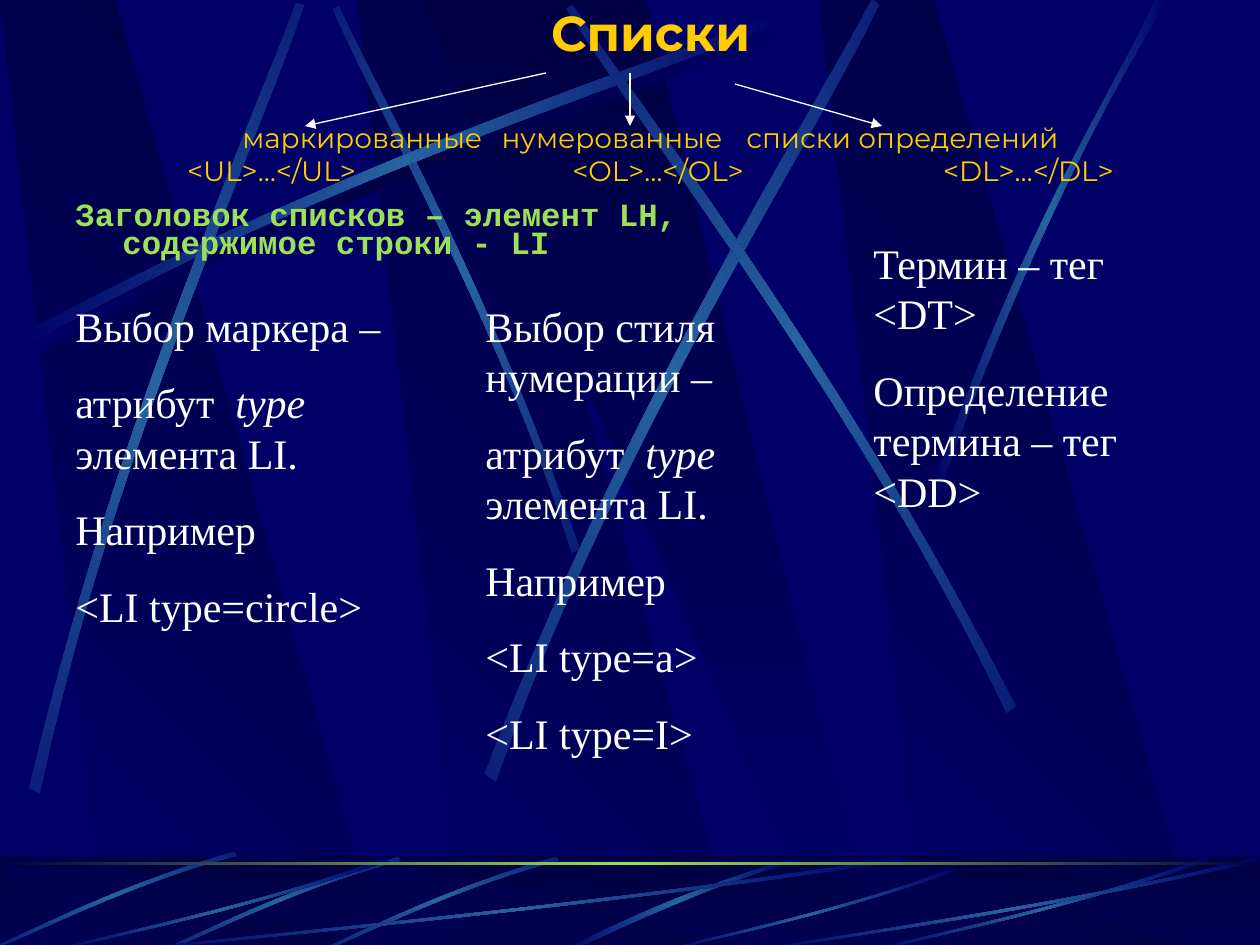
import dataclasses
import math
import typing

import lxml.etree
import pptx
import pptx.dml.color
import pptx.enum.shapes
import pptx.enum.text
import pptx.oxml.ns
import pptx.util

Point = tuple[float, float]
Box = tuple[int, int, int, int]
EMU_PER_PIXEL = 914400 / 126
qn = pptx.oxml.ns.qn


@dataclasses.dataclass(frozen=True)
class Theme:
    ground: str = "000066"
    deep: str = "000044"
    beam: str = "2663A0"
    green: str = "9CE157"
    gold: str = "FFCC00"
    white: str = "FFFFFF"
    title_font: str = "Montserrat"
    code_font: str = "Courier New"
    body_font: str = "Times New Roman"
    title_size: float = 28
    kinds_size: float = 16
    heading_size: float = 18.5
    body_size: float = 24
    arrow_width: float = 0.75


THEME = Theme()


@dataclasses.dataclass(frozen=True)
class Streak:
    points: list[Point]
    rotation: float = 0
    center: Point = (0, 0)
    glow: str = THEME.beam

    def moved(self, dx: int, dy: int, glow: str = THEME.beam) -> "Streak":
        points = [(x + dx, y + dy) for x, y in self.points]
        return Streak(points, self.rotation, (self.center[0] + dx, self.center[1] + dy), glow)


@dataclasses.dataclass(frozen=True)
class Column:
    box: Box
    lines: list[str]


@dataclasses.dataclass(frozen=True)
class Arrow:
    start: Point
    end: Point


deck = pptx.Presentation()


def px(length: float) -> pptx.util.Emu:
    return pptx.util.Emu(round(length * EMU_PER_PIXEL))


deck.slide_width, deck.slide_height = px(1260), px(945)
slide = deck.slides.add_slide(deck.slide_layouts[6])


def rgb(color: str) -> pptx.dml.color.RGBColor:
    return pptx.dml.color.RGBColor.from_string(color)


def paint(shape: typing.Any, colors: list[str], angle: int) -> None:
    shape.shadow.inherit = False
    shape.line.fill.background()
    shape.fill.gradient()
    shape.fill.gradient_angle = (360 - angle) % 360
    stops = shape._element.spPr.find(qn("a:gradFill")).find(qn("a:gsLst"))
    for stop in list(stops):
        stops.remove(stop)
    for index, color in enumerate(colors):
        position = round(100000 * index / (len(colors) - 1))
        stop = lxml.etree.SubElement(stops, qn("a:gs"), pos=str(position))
        lxml.etree.SubElement(stop, qn("a:srgbClr"), val=color)


def draw_outline(points: list[Point]) -> typing.Any:
    corners = [(px(x), px(y)) for x, y in points]
    builder = slide.shapes.build_freeform(*corners[0], scale=1.0)
    builder.add_line_segments(corners[1:], close=False)
    builder.add_line_segments([], close=True)
    return builder.convert_to_shape()


def bend(shape: typing.Any) -> None:
    segments = list(shape._element.iter(qn("a:lnTo")))
    for first in (0, 4):
        start, *rest = segments[first:first + 3]
        arc = lxml.etree.Element(qn("a:cubicBezTo"))
        start.addprevious(arc)
        for segment in (start, *rest):
            arc.append(segment[0])
            segment.getparent().remove(segment)


def turned(point: Point, center: Point, degrees: float) -> Point:
    cos, sin = math.cos(math.radians(degrees)), math.sin(math.radians(degrees))
    x, y = point[0] - center[0], point[1] - center[1]
    return center[0] + x * cos - y * sin, center[1] + x * sin + y * cos


def draw_streak(streak: Streak) -> None:
    shape = draw_outline([turned(point, streak.center, -streak.rotation) for point in streak.points])
    bend(shape)
    shape.rotation = streak.rotation
    paint(shape, [THEME.ground, streak.glow, THEME.ground], 180)


def draw_bands(top: int, height: int) -> None:
    bottom = top + height
    for left in (357, 0, 819):
        band = [(left + 108, bottom), (left + 381, bottom), (left + 115, top), (left, top)]
        paint(draw_outline(band), [THEME.deep, THEME.ground], 135)
    wide = [(420, top), (829, bottom), (874, bottom), (646, top)]
    paint(draw_outline(wide), [THEME.deep, THEME.ground], 90)


def add_bar(box: Box) -> typing.Any:
    return slide.shapes.add_shape(pptx.enum.shapes.MSO_SHAPE.RECTANGLE, *map(px, box))


def add_text(box: Box) -> typing.Any:
    frame = slide.shapes.add_textbox(*map(px, box)).text_frame
    frame.word_wrap = True
    return frame


def style(paragraph: typing.Any, face: str, size: float, color: str, bold: bool = False) -> None:
    paragraph.font.name = face
    paragraph.font.size = pptx.util.Pt(size)
    paragraph.font.bold = bold
    paragraph.font.color.rgb = rgb(color)


def draw_column(column: Column) -> None:
    frame = add_text(column.box)
    for index, line in enumerate(column.lines):
        paragraph = frame.add_paragraph() if index else frame.paragraphs[0]
        paragraph.space_before = pptx.util.Pt(15)
        style(paragraph, THEME.body_font, THEME.body_size, THEME.white)
        for part, words in enumerate(line.split("*")):
            run = paragraph.add_run()
            run.text = words
            if part % 2:
                run.font.italic = True


def draw_arrow(arrow: Arrow) -> None:
    straight = pptx.enum.shapes.MSO_CONNECTOR.STRAIGHT
    line = slide.shapes.add_connector(straight, *map(px, arrow.start + arrow.end))
    line.line.color.rgb = rgb(THEME.white)
    line.line.width = pptx.util.Pt(THEME.arrow_width)
    properties = line._element.spPr
    lxml.etree.SubElement(properties.find(qn("a:ln")), qn("a:tailEnd"), type="triangle")
    lxml.etree.SubElement(properties, qn("a:effectLst"))


LONG_BEAM = Streak([(18, 336), (350, 158), (652, 63), (781, 13), (785, 20), (657, 77), (312, 180), (21, 349)])
SHORT_BEAM = Streak([(557, 857), (447, 888), (362, 932), (323, 949), (324, 951), (363, 936), (460, 886), (559, 861)],
                    314.9, (441, 904))
WALL_STREAKS = [
    LONG_BEAM.moved(8, 10, THEME.deep),
    Streak([(580, 549), (493, 295), (381, 97), (339, 6), (333, 9), (372, 100), (501, 325), (572, 553)], 45, (456, 280)),
    LONG_BEAM,
    Streak([(29, 788), (117, 421), (248, 132), (296, 3), (304, 5), (261, 136), (108, 464), (40, 793)], 311.7, (168, 398)),
    Streak([(485, 774), (627, 403), (804, 129), (872, 0), (879, 5), (818, 136), (612, 447), (496, 782)], 321.6, (684, 391)),
    Streak([(1016, 706), (844, 369), (650, 120), (573, 5), (567, 9), (639, 127), (863, 410), (1007, 713)], 34.8, (790, 360)),
    Streak([(930, 495), (1026, 218), (1119, 83), (1155, 0), (1168, 0), (1053, 183), (969, 406), (937, 500)]),
]
FLOOR_STREAKS = [
    Streak([(790, 859), (677, 893), (601, 931), (564, 950), (571, 951), (617, 929), (719, 882), (791, 863)]),
    SHORT_BEAM, SHORT_BEAM.moved(-158, 0), SHORT_BEAM.moved(-322, -5),
]
RAY = [(777, 4), (440, 54), (134, 80), (4, 94), (0, 93), (129, 77), (479, 48), (774, 0)]
RAY_BOXES: list[Box] = [(126, 857, 777, 94), (53, 857, 336, 94), (664, 868, 291, 83),
                        (872, 857, 336, 94), (756, 857, 504, 94)]
FLOOR_STREAKS += [Streak([(left + x * width / 777, top + y * height / 94) for x, y in RAY])
                  for left, top, width, height in RAY_BOXES]
ARROWS = [Arrow((630, 73), (630, 126)), Arrow((735, 84), (882, 126)), Arrow((546, 73), (305, 126))]
ATTRIBUTE = ["атрибут  *type *элемента LI.", "Например"]
COLUMNS = [
    Column((63, 294, 336, 344), ["Выбор маркера –", *ATTRIBUTE, "<LI type=circle>"]),
    Column((473, 294, 294, 547), ["Выбор стиля нумерации –", *ATTRIBUTE, "<LI type=a>", "<LI type=I>"]),
    Column((861, 231, 336, 368), ["Термин – тег <DT>", "Определение термина – тег <DD>"]),
]

slide.background.fill.solid()
slide.background.fill.fore_color.rgb = rgb(THEME.ground)
draw_bands(0, 947)
for wall_streak in WALL_STREAKS:
    draw_streak(wall_streak)
paint(add_bar((0, 857, 1260, 94)), [THEME.deep, THEME.ground], 90)
draw_bands(867, 84)
veil = add_bar((0, 856, 1260, 94))
veil.shadow.inherit = False
veil.line.fill.background()
veil.fill.solid()
veil.fill.fore_color.rgb = rgb(THEME.deep)
veil_color = veil._element.spPr.find(qn("a:solidFill"))[0]
lxml.etree.SubElement(veil_color, qn("a:alpha"), val="50000")
for floor_streak in FLOOR_STREAKS:
    draw_streak(floor_streak)
paint(add_bar((0, 862, 1260, 3)), [THEME.deep, THEME.green, THEME.deep], 180)

title = add_text((73, -4, 1155, 198))
title.vertical_anchor = pptx.enum.text.MSO_ANCHOR.MIDDLE
topic, kinds = title.paragraphs[0], title.add_paragraph()
topic.text = "Списки"
kinds.text = "маркированные\t нумерованные \tсписки определений\v<UL>…</UL>\t\t <OL>…</OL>\t\t<DL>…</DL>"
topic.alignment = kinds.alignment = pptx.enum.text.PP_ALIGN.CENTER
kinds.space_before = pptx.util.Pt(33.5)
tab_stops = lxml.etree.SubElement(kinds._p.get_or_add_pPr(), qn("a:tabLst"))
for inch in range(1, 8):
    lxml.etree.SubElement(tab_stops, qn("a:tab"), pos=str(px(126 * inch)), algn="l")
style(topic, THEME.title_font, THEME.title_size, THEME.gold, True)
style(kinds, THEME.title_font, THEME.kinds_size, THEME.gold)

heading = add_text((63, 199, 735, 73)).paragraphs[0]
heading.text = "Заголовок списков – элемент LH, содержимое строки - LI"
heading.line_spacing = 0.7
heading.space_before = pptx.util.Pt(5)
heading_properties = heading._p.get_or_add_pPr()
heading_properties.set("marL", str(px(47)))
heading_properties.set("indent", str(-px(47)))
style(heading, THEME.code_font, THEME.heading_size, THEME.green, True)

for arrow in ARROWS:
    draw_arrow(arrow)
for column in COLUMNS:
    draw_column(column)
deck.save("out.pptx")
